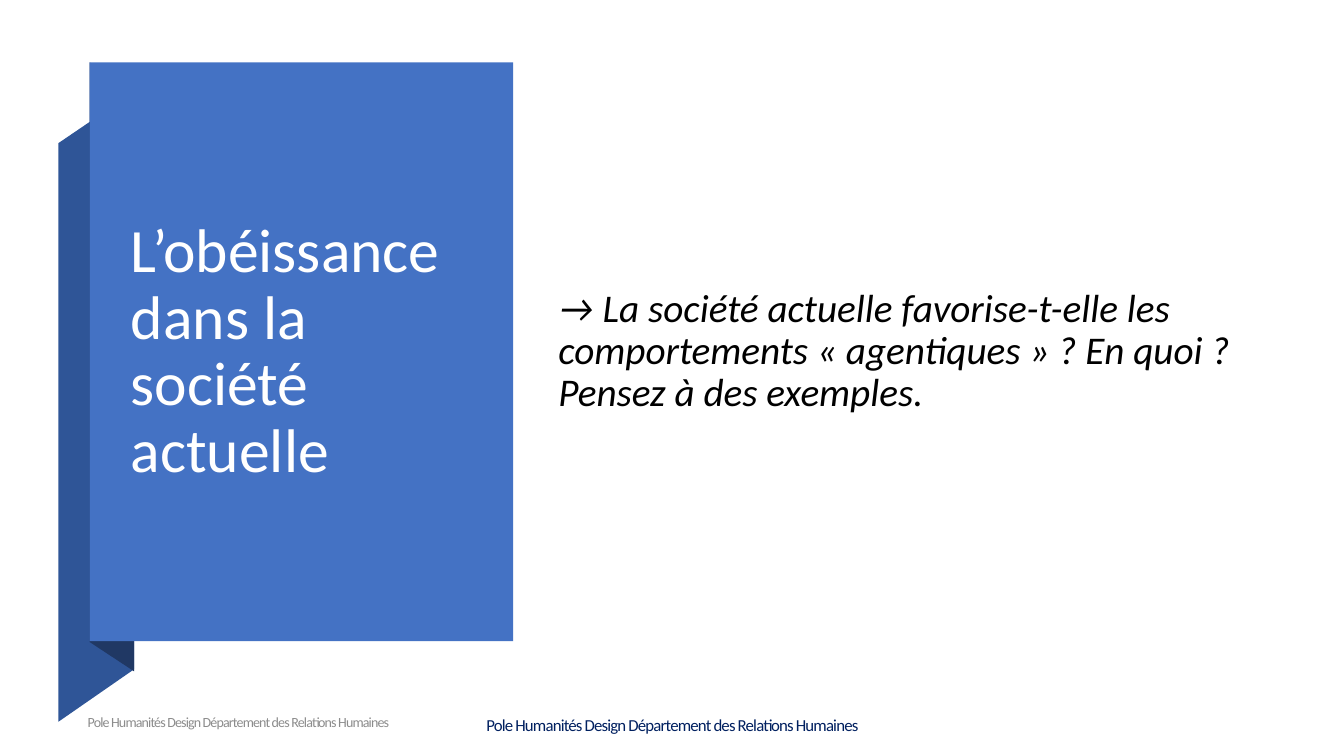
from pptx import Presentation
from pptx.dml.color import RGBColor
from pptx.enum.shapes import MSO_SHAPE
from pptx.enum.text import MSO_ANCHOR, PP_ALIGN
from pptx.util import Inches, Pt

LEFT, CENTER = PP_ALIGN.LEFT, PP_ALIGN.CENTER
FONT = "Calibri"
COLORS = {
    "panel": "4472C4", "ribbon": "2F5597", "fold": "203864",
    "white": "FFFFFF", "black": "000000", "grey": "8C8C8C", "navy": "002060",
}

PANEL = (0.89, 0.62, 4.2, 5.74)
RIBBON_PARTS = [
    ("ribbon", [(0.58, 7.16), (1.33, 6.64), (1.33, 0.91), (0.58, 1.42)]),
    ("fold", [(0.89, 6.37), (1.33, 6.66), (1.33, 0.9), (0.89, 0.62)]),
]

TITLE = "L’obéissance dans la société actuelle"
QUESTION = ("→ La société actuelle favorise-t-elle les comportements "
            "« agentiques » ? En quoi ? Pensez à des exemples.")
DEPARTMENT = "Pole Humanités Design Département des Relations Humaines"

BODY_INSETS = (0.1, 0.05, 0.1, 0.05)
FOOTER_INSETS = (0, 0.01, 0, 0)
# text, box, size, color, italic, alignment, line spacing, insets, tracking
TEXTS = [
    (TITLE, (1.2, 0.97, 3.53, 5.06), 44, "white", False, LEFT, 0.9, BODY_INSETS, 0),
    (QUESTION, (5.44, 0.62, 7.14, 5.74), 28, "black", True, LEFT, 0.9, BODY_INSETS, 0),
    (DEPARTMENT, (0.87, 6.98, 7.39, 0.35), 10, "grey", False, LEFT, 1.0, FOOTER_INSETS, -0.6),
    (DEPARTMENT, (4.42, 7.08, 4.5, 0.21), 12, "navy", False, CENTER, 1.0, FOOTER_INSETS, -0.6),
]


def rgb(name):
    return RGBColor.from_string(COLORS[name])


def paint(shape, color):
    shape.shadow.inherit = False
    shape.fill.solid()
    shape.fill.fore_color.rgb = rgb(color)
    shape.line.fill.background()


def add_outline(slide, color, corners):
    start, *others = [(Inches(x), Inches(y)) for x, y in corners]
    builder = slide.shapes.build_freeform(*start)
    builder.add_line_segments(others, close=True)
    paint(builder.convert_to_shape(), color)


def add_text(slide, text, box, size, color, italic, align, spacing, insets, tracking):
    """Add one vertically centred paragraph; tracking is in points."""
    frame = slide.shapes.add_textbox(*map(Inches, box)).text_frame
    frame.word_wrap = True
    frame.vertical_anchor = MSO_ANCHOR.MIDDLE
    (frame.margin_left, frame.margin_top,
     frame.margin_right, frame.margin_bottom) = map(Inches, insets)
    paragraph = frame.paragraphs[0]
    paragraph.alignment = align
    paragraph.line_spacing = spacing
    run = paragraph.add_run()
    run.text = text
    run.font.name = FONT
    run.font.size = Pt(size)
    run.font.italic = italic
    run.font.color.rgb = rgb(color)
    if tracking:
        run._r.get_or_add_rPr().set("spc", str(round(tracking * 100)))


def main():
    prs = Presentation()
    prs.slide_width, prs.slide_height = Inches(13.33), Inches(7.5)
    slide = prs.slides.add_slide(prs.slide_layouts[6])
    for color, corners in RIBBON_PARTS:
        add_outline(slide, color, corners)
    panel = slide.shapes.add_shape(MSO_SHAPE.RECTANGLE, *map(Inches, PANEL))
    paint(panel, "panel")
    for entry in TEXTS:
        add_text(slide, *entry)
    prs.save("out.pptx")


if __name__ == "__main__":
    main()
